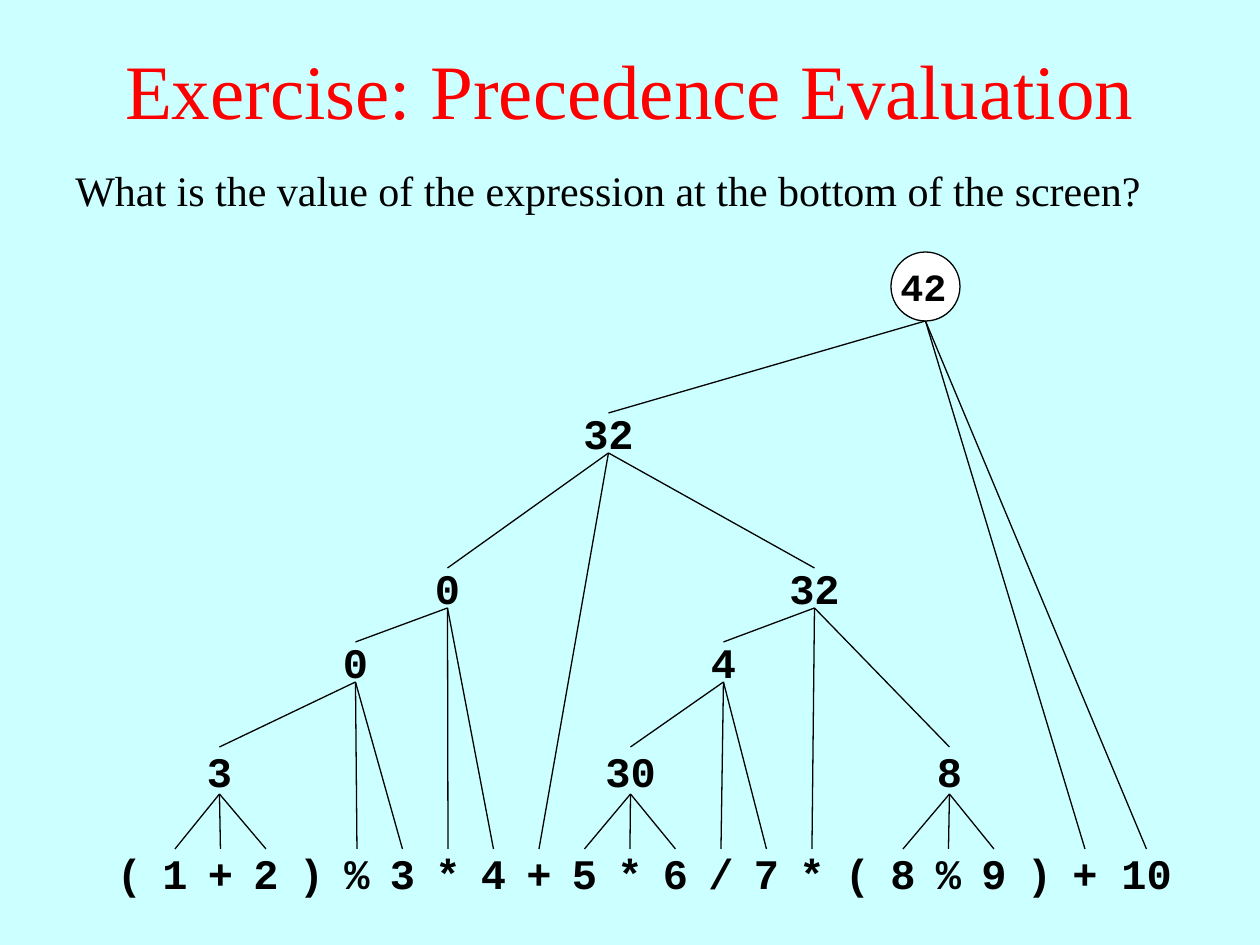
from lxml.etree import SubElement
from pptx import Presentation
from pptx.dml.color import RGBColor
from pptx.enum.shapes import MSO_CONNECTOR as Link, MSO_SHAPE as Form
from pptx.enum.text import MSO_ANCHOR as Anchor, MSO_AUTO_SIZE as Fit, PP_ALIGN as Align
from pptx.oxml.ns import qn
from pptx.util import Emu, Pt

SKY, BLACK, RED, WHITE = "CCFFFF", "000000", "FF0000", "FFFFFF"
SERIF, MONO = "Times New Roman", "Courier New"
CELL_W, CELL_H, NODE_H = 43, 47, 40

TOKENS = "( 1 + 2 ) % 3 * 4 + 5 * 6 / 7 * ( 8 % 9 ) + 10".split()

# name: value, left, top, height, children (token numbers or node names)
NODES = {
    "sum": ("3", 90, 495, CELL_H, (1, 2, 3)),
    "mod": ("0", 226, 390, NODE_H, ("sum", 5, 6)),
    "times": ("0", 318, 316, NODE_H, ("mod", 7, 8)),
    "product": ("30", 501, 495, CELL_H, (10, 11, 12)),
    "quotient": ("4", 594, 390, NODE_H, ("product", 13, 14)),
    "rest": ("8", 820, 495, CELL_H, (17, 18, 19)),
    "right": ("32", 685, 316, NODE_H, ("quotient", 15, "rest")),
    "total": ("32", 479, 161, NODE_H, ("times", 9, "right")),
}


def px(n):
    return Emu(round(n * 914400 / 126))


def color(code):
    return RGBColor.from_string(code)


def write(shape, text, font=MONO, size=24, ink=BLACK, bold=False, align=Align.CENTER,
          anchor=Anchor.MIDDLE, wrap=True, line=None):
    frame = shape.text_frame
    frame.auto_size = Fit.NONE
    frame.word_wrap = wrap
    frame.vertical_anchor = anchor
    para = frame.paragraphs[0]
    para.text = text
    para.alignment = align
    if line:
        para.line_spacing = line
    para.font.name = font
    para.font.size = Pt(size)
    para.font.bold = bold
    para.font.color.rgb = color(ink)


def place(shape, x, y, w, h):
    shape.left, shape.top, shape.width, shape.height = map(px, (x, y, w, h))


def draw(slide, form, x, y, w, h, fill, edge=None):
    shape = slide.shapes.add_shape(form, *map(px, (x, y, w, h)))
    shape.shadow.inherit = False
    shape.fill.solid()
    shape.fill.fore_color.rgb = color(fill)
    if edge:
        shape.line.color.rgb = color(edge)
        shape.line.width = Pt(0.75)
    else:
        shape.line.fill.background()
    return shape


def cell(slide, text, x, y, h):
    shape = draw(slide, Form.RECTANGLE, x, y, CELL_W, h, SKY)
    write(shape, text, bold=True, wrap=False)
    return shape


def join(slide, parent, child):
    """Run a line from the bottom of parent to the top of child."""
    x, y = parent.left + parent.width // 2, parent.top + parent.height
    link = slide.shapes.add_connector(Link.STRAIGHT, x, y, x, y)
    if parent.auto_shape_type == Form.RECTANGLE:
        link.begin_connect(parent, 2)
    link.end_connect(child, 0)
    link.line.color.rgb = color(BLACK)
    link.line.width = Pt(0.75)
    SubElement(link._element.spPr, qn("a:effectLst"))


def heading(slide, x, y, w, h):
    title = slide.shapes.title
    place(title, x, y, w, h)
    write(title, "Exercise: Precedence Evaluation", font=SERIF, size=44, ink=RED)


def prompt(slide, x, y, w, h):
    box = slide.shapes.add_textbox(*map(px, (x, y, w, h)))
    write(box, "What is the value of the expression at the bottom of the screen?",
          font=SERIF, align=Align.JUSTIFY, anchor=Anchor.TOP, line=0.9)


def formula(slide, x, y, w):
    """Set the tokens at equal steps and return their cells."""
    last = len(TOKENS) - 1
    step = (w - CELL_W - 16) / last
    cells = []
    for i, token in enumerate(TOKENS):
        shift = 16 if i == last else 0  # room for the two-digit number
        cells.append(cell(slide, token, x + i * step + shift, y, CELL_H))
    return cells


def tree(slide, x, y, leaves):
    spots = dict(enumerate(leaves))
    for name, (value, left, top, h, kids) in NODES.items():
        spots[name] = cell(slide, value, x + left, y + top, h)
        for kid in kids:
            join(slide, spots[name], spots[kid])
    root = draw(slide, Form.OVAL, x + 783, y, 69, 69, WHITE, BLACK)
    for kid in ("total", 21, 22):
        join(slide, root, spots[kid])
    label = slide.shapes.add_textbox(*map(px, (x + 779, y + 5, 73, 59)))
    write(label, "42", size=22, bold=True, anchor=Anchor.TOP)


def main():
    deck = Presentation()
    deck.slide_width, deck.slide_height = px(1260), px(945)
    slide = deck.slides.add_slide(deck.slide_layouts[5])
    slide.background.fill.solid()
    slide.background.fill.fore_color.rgb = color(SKY)
    heading(slide, 0, 10, 1260, 158)
    prompt(slide, 63, 164, 1134, 58)
    leaves = formula(slide, 108, 849, 1060)
    tree(slide, 108, 252, leaves)
    deck.save("out.pptx")


if __name__ == "__main__":
    main()
